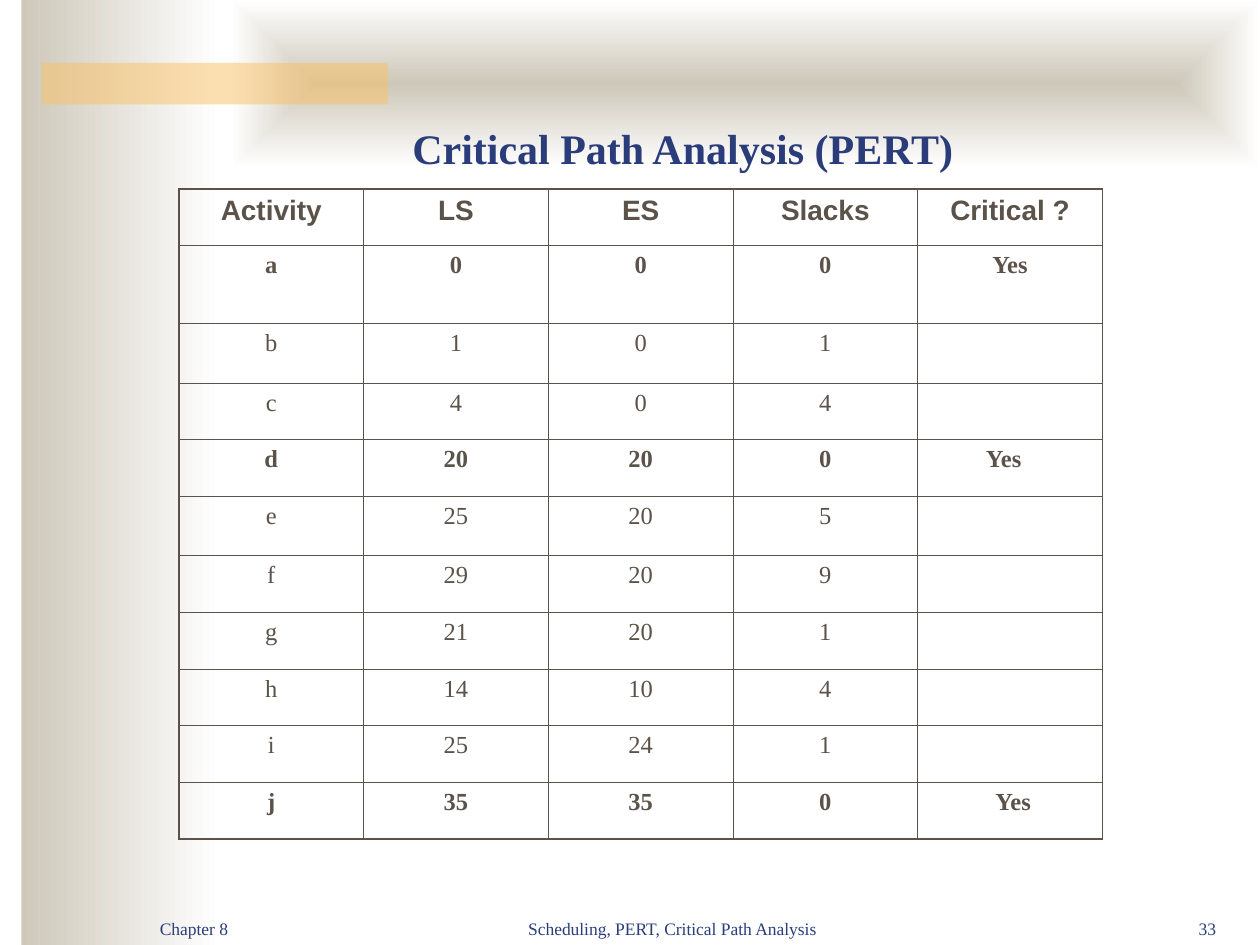
from lxml.etree import SubElement
from pptx import Presentation
from pptx.dml.color import RGBColor
from pptx.enum.shapes import MSO_SHAPE
from pptx.enum.text import MSO_ANCHOR, PP_ALIGN
from pptx.oxml import parse_xml
from pptx.oxml.ns import nsdecls, qn
from pptx.util import Inches, Pt

NAVY, BROWN, STONE, WHITE, AMBER = "2A3D7A", "5B5249", "CEC8BA", "FFFFFF", "FAC164"
SERIF, SANS = "Times New Roman", "Arial"
HEADERS = ["Activity", "LS", "ES", "Slacks", "Critical ?"]
ACTIVITIES = [
    ("a", 0, 0), ("b", 1, 0), ("c", 4, 0), ("d", 20, 20), ("e", 25, 20),
    ("f", 29, 20), ("g", 21, 20), ("h", 14, 10), ("i", 25, 24), ("j", 35, 35),
]
ROW_HEIGHTS = [0.45, 0.62, 0.47] + [0.45] * 2 + [0.47] + [0.45] * 5
YES_MARGINS = {"d": (0.1, 0.2), "j": (0.15, 0.1)}


def color(value):
    """Turn a hex string into a colour."""
    return RGBColor.from_string(value)


def add_text(tf, text, size, font, ink, bold=False, align=PP_ALIGN.CENTER, before=0):
    """Write one formatted run in the first paragraph of a text frame."""
    p = tf.paragraphs[0]
    p.alignment = align
    p.space_before = Pt(before)
    r = p.add_run()
    r.text = text
    r.font.size, r.font.name, r.font.bold = Pt(size), font, bold
    r.font.color.rgb = color(ink)


def add_label(s, box, text, size, bold=False, align=PP_ALIGN.CENTER):
    """Place a navy text box whose text sits at the bottom."""
    tf = s.shapes.add_textbox(*map(Inches, box)).text_frame
    tf.word_wrap = True
    tf.vertical_anchor = MSO_ANCHOR.BOTTOM
    add_text(tf, text, size, SERIF, NAVY, bold, align)


def add_band(s, box):
    """Place a rectangle with neither outline nor shadow."""
    sp = s.shapes.add_shape(MSO_SHAPE.RECTANGLE, *map(Inches, box))
    sp.shadow.inherit = False
    sp.line.fill.background()
    return sp


def add_gradient_band(s, box, from_center=False):
    """Place a band fading from stone to white, rightwards or from its center."""
    sp = add_band(s, box)
    sp.fill.gradient()
    sp.fill.gradient_angle = 0
    for stop, shade, position in zip(sp.fill.gradient_stops, (STONE, WHITE), (0, 1)):
        stop.color.rgb = color(shade)
        stop.position = position
    if from_center:
        lin = next(sp.element.iter(qn("a:lin")))
        lin.getparent().replace(lin, parse_xml(
            f'<a:path {nsdecls("a")} path="rect">'
            '<a:fillToRect l="50000" t="50000" r="50000" b="50000"/></a:path>'))


def add_backdrop(s, width, height):
    """Draw the side strip, the top glow and the amber bar."""
    add_gradient_band(s, (0.17, 0, 1.58, height))
    add_gradient_band(s, (1.83, 0, width - 1.83, 1.33), from_center=True)
    bar = add_band(s, (0.33, 0.5, 2.75, 0.33))
    bar.fill.solid()
    bar.fill.fore_color.rgb = color(AMBER)
    SubElement(next(bar.element.iter(qn("a:srgbClr"))), qn("a:alpha"), val="50000")


def add_footer(s, top, height):
    """Place the chapter, subject and page number along the bottom."""
    for left, width, text, align in (
        (1.17, 2.08, "Chapter 8", PP_ALIGN.LEFT),
        (3.75, 3.17, "Scheduling, PERT, Critical Path Analysis", PP_ALIGN.CENTER),
        (8.75, 1, "33", PP_ALIGN.RIGHT),
    ):
        add_label(s, (left, top, width, height), text, 10, align=align)


def set_borders(cell, outer):
    """Rule a cell, heavier on the sides at the table's edge."""
    tcPr = cell._tc.get_or_add_tcPr()
    for i, (side, edge) in enumerate(zip("LRTB", outer)):
        width = Pt(1.08 if edge else 0.45)
        tcPr.insert(i, parse_xml(
            f'<a:ln{side} {nsdecls("a")} w="{width}"><a:solidFill>'
            f'<a:srgbClr val="{BROWN}"/></a:solidFill></a:ln{side}>'))


def add_schedule(s, left, top, width):
    """Build the table; activities with zero slack are critical and bold."""
    rows = [HEADERS] + [
        [name, str(ls), str(es), str(ls - es), "" if ls - es else "Yes"]
        for name, ls, es in ACTIVITIES]
    last_row, last_col = len(rows) - 1, len(HEADERS) - 1
    table = s.shapes.add_table(
        len(rows), len(HEADERS), Inches(left), Inches(top),
        Inches(width), Inches(sum(ROW_HEIGHTS))).table
    table.first_row = table.horz_banding = False
    for column in table.columns:
        column.width = Inches(width / len(HEADERS))
    for i, values in enumerate(rows):
        table.rows[i].height = Inches(ROW_HEIGHTS[i])
        for j, text in enumerate(values):
            cell = table.cell(i, j)
            cell.fill.background()
            set_borders(cell, (j == 0, j == last_col, i == 0, i == last_row))
            if j == last_col and values[0] in YES_MARGINS:
                cell.margin_left, cell.margin_right = map(Inches, YES_MARGINS[values[0]])
            if not text:
                continue
            if i == 0:
                add_text(cell.text_frame, text, 16, SANS, BROWN, True, before=4)
            else:
                add_text(cell.text_frame, text, 14, SERIF, BROWN,
                         values[-1] == "Yes", before=3.5)


def build_slide(prs, width, height):
    """Compose the critical path slide."""
    s = prs.slides.add_slide(prs.slide_layouts[6])
    add_backdrop(s, width, height)
    add_footer(s, height - 0.5, 0.5)
    add_label(s, (1.17, 0.67, 8.5, 0.75), "Critical Path Analysis (PERT)", 24, bold=True)
    add_schedule(s, 1.42, 1.5, 7.33)


prs = Presentation()
prs.slide_width, prs.slide_height = Inches(10), Inches(7.5)
build_slide(prs, 10, 7.5)
prs.save("out.pptx")
